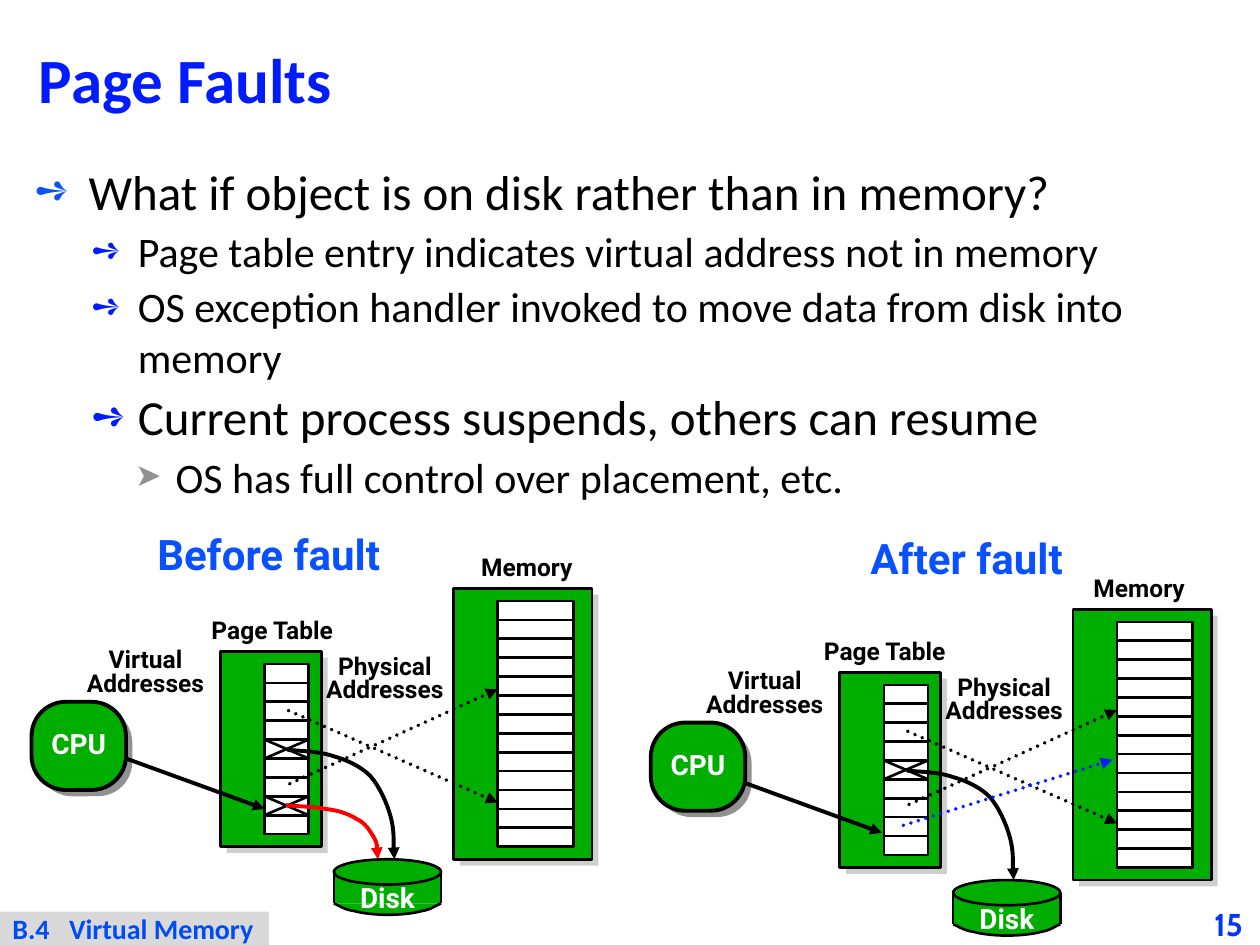
from lxml import etree
from pptx import Presentation
from pptx.dml.color import RGBColor
from pptx.enum.dml import MSO_LINE
from pptx.enum.shapes import MSO_CONNECTOR, MSO_SHAPE
from pptx.enum.text import MSO_ANCHOR, MSO_AUTO_SIZE, PP_ALIGN
from pptx.oxml.ns import qn
from pptx.util import Inches, Pt

RECT, ROUNDED, ELLIPSE = MSO_SHAPE.RECTANGLE, MSO_SHAPE.ROUNDED_RECTANGLE, MSO_SHAPE.OVAL
STRAIGHT, DOTTED = MSO_CONNECTOR.STRAIGHT, MSO_LINE.ROUND_DOT
CENTER, LEFT = PP_ALIGN.CENTER, PP_ALIGN.LEFT
TOP, MIDDLE = MSO_ANCHOR.TOP, MSO_ANCHOR.MIDDLE
GROW, FIXED = MSO_AUTO_SIZE.SHAPE_TO_FIT_TEXT, MSO_AUTO_SIZE.NONE

COLORS = {
    "black": "000000", "white": "FFFFFF", "red": "FF0000", "green": "00AE00",
    "dark_shadow": "919191", "light_shadow": "CECECE", "footer": "D9D9D9",
    "title": "001CFE", "bullet": "0B52FC", "heading": "0951FF",
    "section": "004BF3", "number": "0136F8",
}
GRID = 0.05  # inches per column and per row
CELL_ROWS = 3

# level: (left margin, hanging indent, bullet, bullet colour, bullet size in %)
BULLETS = {
    0: (0.44, -0.43, "➺", "bullet", 85),
    1: (0.83, -0.37, "➺", "title", 85),
    2: (1.13, -0.32, "➤", "dark_shadow", 75),
}
POINTS = [
    (0, 28, "What if object is on disk rather than in memory?"),
    (1, 24, "Page table entry indicates virtual address not in memory"),
    (1, 24, "OS exception handler invoked to move data from disk into memory"),
    (1, 28, "Current process suspends, others can resume"),
    (2, 24, "OS has full control over placement, etc."),
]

# Bezier outlines: a start point, then three points for each piece
DISK_BOTTOM = [(53, 50), (53.6, 50.2), (54.6, 51), (56.2, 51.2), (57.6, 51.6),
               (59.8, 51.8), (61.5, 51.8), (63.4, 51.8), (65.6, 51.6), (67, 51.2),
               (68.4, 51), (69.4, 50.2), (70, 50)]
UPPER_TO_DISK = [(45.6, 25.6), (46.8, 25.8), (50.6, 25.8), (52.8, 26.6), (55, 27.2),
                 (57.2, 28.2), (58.8, 29.8), (60.2, 31.4), (61.4, 34), (62, 36.2),
                 (62.6, 38.4), (62.4, 41.6), (62.6, 43)]
LOWER_TO_DISK = [(45.4, 34.4), (46.6, 34.6), (49.8, 34.6), (51.6, 35), (53.6, 35.2),
                 (55.4, 35.8), (56.6, 36.6), (58, 37.2), (58.8, 38.6), (59.4, 39.6),
                 (60, 40.8), (59.8, 42.2), (60, 43)]


def units(count):
    return Inches(count * GRID)


def rgb(name):
    return RGBColor.from_string(COLORS[name])


def add_child(parent, tag, **attributes):
    return etree.SubElement(parent, qn(tag), **attributes)


def bend(shape):
    """Turn every three line segments of a freeform into one cubic curve."""
    outline = next(shape._element.iter(qn("a:path")))
    segments = outline.findall(qn("a:lnTo"))
    for i in range(0, len(segments), 3):
        piece = add_child(outline, "a:cubicBezTo")
        for segment in segments[i:i + 3]:
            piece.append(segment[0])
            outline.remove(segment)


def write(frame, lines, size, color, font="Roboto", bold=True, align=LEFT, spacing=0.9,
          anchor=TOP, wrap=False, fit=GROW, insets=(0.1, 0.05), tab=None):
    """Fill a text frame with one paragraph for each line."""
    frame.word_wrap, frame.auto_size, frame.vertical_anchor = wrap, fit, anchor
    frame.margin_left = frame.margin_right = Inches(insets[0])
    frame.margin_top = frame.margin_bottom = Inches(insets[1])
    for i, line in enumerate(lines):
        paragraph = frame.add_paragraph() if i else frame.paragraphs[0]
        if tab:
            stops = add_child(paragraph._p.get_or_add_pPr(), "a:tabLst")
            add_child(stops, "a:tab", pos=str(Inches(tab)), algn="l")
        paragraph.alignment, paragraph.line_spacing = align, spacing
        add_run(paragraph, line, size, color, font, bold)


def add_run(paragraph, text, size, color, font, bold):
    run = paragraph.add_run()
    run.text = text
    run.font.size, run.font.name, run.font.bold = Pt(size), font, bold
    run.font.color.rgb = rgb(color)


class Canvas:
    """Places elements on a slide, on a grid that starts at a movable origin."""

    def __init__(self, slide):
        self.shapes = slide.shapes
        self.origin = (0, 0)

    def at(self, col, row):
        return units(self.origin[0] + col), units(self.origin[1] + row)

    def stroke(self, element, color, width, dash=None, arrow=False):
        element.line.color.rgb, element.line.width = rgb(color), Pt(width)
        outline = element._element.spPr.find(qn("a:ln"))
        if dash:
            element.line.dash_style = dash
            outline.set("cap", "rnd")
        if arrow:
            add_child(outline, "a:tailEnd", type="triangle")

    def box(self, kind, col, row, cols, rows, fill, line=None):
        shape = self.shapes.add_shape(kind, *self.at(col, row), units(cols), units(rows))
        shape.shadow.inherit = False
        shape.fill.solid()
        shape.fill.fore_color.rgb = rgb(fill)
        if line:
            self.stroke(shape, "black", line)
        else:
            shape.line.fill.background()
        return shape

    def shadowed(self, kind, col, row, cols, rows, shadow, line, rounding=None):
        for step, fill, width in ((1, shadow, None), (0, "green", line)):
            shape = self.box(kind, col + step, row + step, cols, rows, fill, width)
            if rounding:
                shape.adjustments[0] = rounding
        return shape

    def label(self, col, row, cols, rows, *lines, **style):
        text_box = self.shapes.add_textbox(*self.at(col, row), units(cols), units(rows))
        write(text_box.text_frame, lines, **style)

    def line(self, start, end, color="black", width=2.25, dash=None, arrow=True):
        connector = self.shapes.add_connector(STRAIGHT, *self.at(*start), *self.at(*end))
        add_child(connector._element.spPr, "a:effectLst")
        self.stroke(connector, color, width, dash, arrow)

    def curve(self, points, color="black", width=2.25, fill=None, arrow=True):
        builder = self.shapes.build_freeform(*self.at(*points[0]))
        builder.add_line_segments([self.at(*p) for p in points[1:]], close=False)
        shape = builder.convert_to_shape()
        bend(shape)
        shape.shadow.inherit = False
        if fill:
            shape.fill.solid()
            shape.fill.fore_color.rgb = rgb(fill)
        else:
            shape.fill.background()
        self.stroke(shape, color, width, arrow=arrow)

    def bullets(self, col, row, cols, rows, points):
        frame = self.shapes.add_textbox(*self.at(col, row), units(cols), units(rows)).text_frame
        frame.word_wrap = True
        for i, (level, size, text) in enumerate(points):
            margin, indent, mark, color, percent = BULLETS[level]
            paragraph = frame.add_paragraph() if i else frame.paragraphs[0]
            props = paragraph._p.get_or_add_pPr()
            props.set("marL", str(Inches(margin)))
            props.set("indent", str(Inches(indent)))
            add_child(add_child(props, "a:buClr"), "a:srgbClr", val=COLORS[color])
            add_child(props, "a:buSzPct", val=str(percent * 1000))
            add_child(props, "a:buFont", typeface="Calibri")
            add_child(props, "a:buChar", char=mark)
            paragraph.level, paragraph.space_after = level, Pt(3)
            add_run(paragraph, text, size, "black", "Calibri", False)

    def cells(self, col, row, cols, count):
        for i in range(count):
            self.box(RECT, col, row + i * CELL_ROWS, cols, CELL_ROWS, "white", 1.5)

    def fault_diagram(self, origin, on_disk, cpu_arrow, caption_shift=0):
        """CPU, page table, memory and disk; on_disk maps table entries to (curve, colour)."""
        self.origin = origin
        caption = {"size": 14, "color": "black"}
        cpu = self.shadowed(ROUNDED, 5, 18, 15, 14, "dark_shadow", 2.25, rounding=0.39)
        write(cpu.text_frame, ["CPU"], 16, "white", align=CENTER, anchor=MIDDLE, fit=FIXED)
        self.shadowed(RECT, 72, 0, 22, 43, "light_shadow", 1.5)
        self.cells(79, 2, 12, 13)
        self.label(74.4 + caption_shift, -6.2, 18.8, 6.2, "Memory", **caption)
        self.shadowed(RECT, 35, 10, 16, 31, "light_shadow", 1.5)
        self.cells(42, 12, 7, 9)
        self.label(31.6 + caption_shift, 3.8, 24.4, 6.2, "Page Table", **caption)
        self.line((45.8, 19.4), (79, 34), dash=DOTTED)
        self.line((46, 31), (79, 16), dash=DOTTED)
        for entry in on_disk:
            top = 12 + entry * CELL_ROWS
            for start, end in ((42, 49), (49, 42)):
                self.line((start, top + CELL_ROWS), (end, top), width=1.5, arrow=False)
        self.box(RECT, 53, 45, 17, 5, "green")
        self.box(ELLIPSE, 53, 43, 17, 4, "green", 1.5)
        for side in (53, 70):
            self.line((side, 45), (side, 50), width=1.5, arrow=False)
        self.curve(DISK_BOTTOM, width=1.5, fill="green", arrow=False)
        self.label(55.2, 46, 13.4, 6.8, "Disk", size=16, color="white")
        for route, color in on_disk.values():
            self.curve(route, color)
        for col, row, kind in ((11.8, 8.8, "Virtual"), (49.8, 9.8, "Physical")):
            self.label(col, row, 22.6, 9.6, kind, "Addresses", align=CENTER, spacing=0.8, **caption)
        self.line(*cpu_arrow)


def main():
    deck = Presentation()
    deck.slide_width, deck.slide_height = Inches(10), Inches(7.5)
    canvas = Canvas(deck.slides.add_slide(deck.slide_layouts[6]))

    title = canvas.box(ROUNDED, 3.2, 3.2, 193.6, 20.2, "white")
    write(title.text_frame, ["Page Faults"], 36, "title", font="Calibri", spacing=0.87,
          anchor=MIDDLE, wrap=True, fit=FIXED)
    canvas.bullets(3.3, 24.6, 193.6, 121.4, POINTS)

    upper = (UPPER_TO_DISK, "black")
    canvas.fault_diagram((0, 93.4), {4: upper, 7: (LOWER_TO_DISK, "red")}, ((20, 27), (42, 35)))
    canvas.fault_diagram((98.3, 96.7), {4: upper}, ((19.7, 27.5), (41.7, 35.5)), -1.1)

    canvas.origin = (0, 0)
    canvas.line((143.4, 131), (176.6, 120.6), color="title", dash=DOTTED)
    heading = {"size": 24, "color": "heading"}
    canvas.label(23, 83.8, 41.4, 9.2, "Before fault", **heading)
    canvas.label(136.2, 84.4, 35.8, 9.2, "After fault", **heading)
    canvas.label(190, 143.4, 10, 6.6, "15", size=18, color="number", font="Cabin", align=CENTER,
                 spacing=1, anchor=MIDDLE, wrap=True, fit=FIXED, insets=(0, 0))
    section = canvas.box(RECT, 0, 144.7, 42.7, 5.4, "footer")
    write(section.text_frame, ["B.4\tVirtual Memory"], 16, "section", font="Calibri",
          spacing=1, insets=(0.1, 0), tab=0.45)
    deck.save("out.pptx")


if __name__ == "__main__":
    main()
